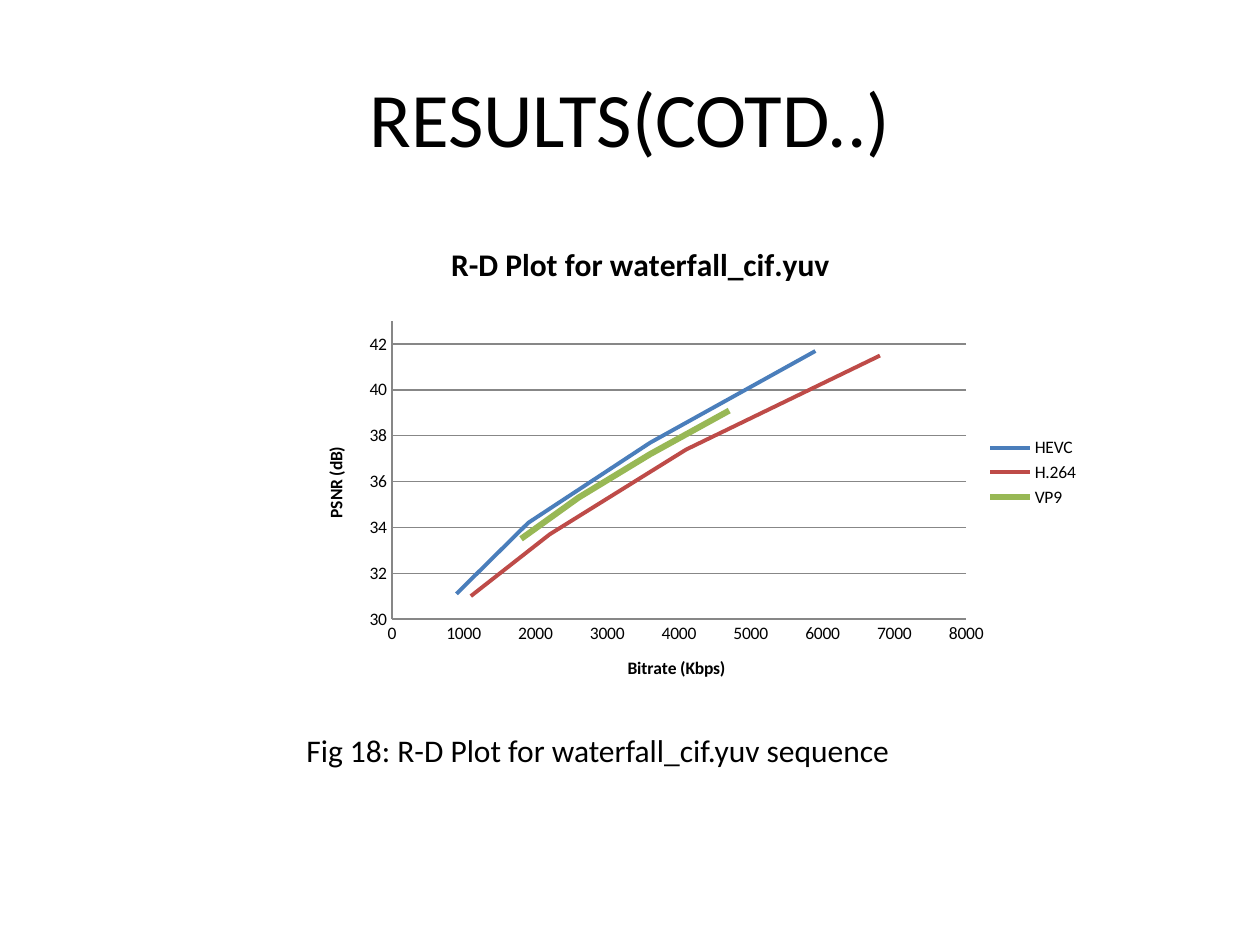
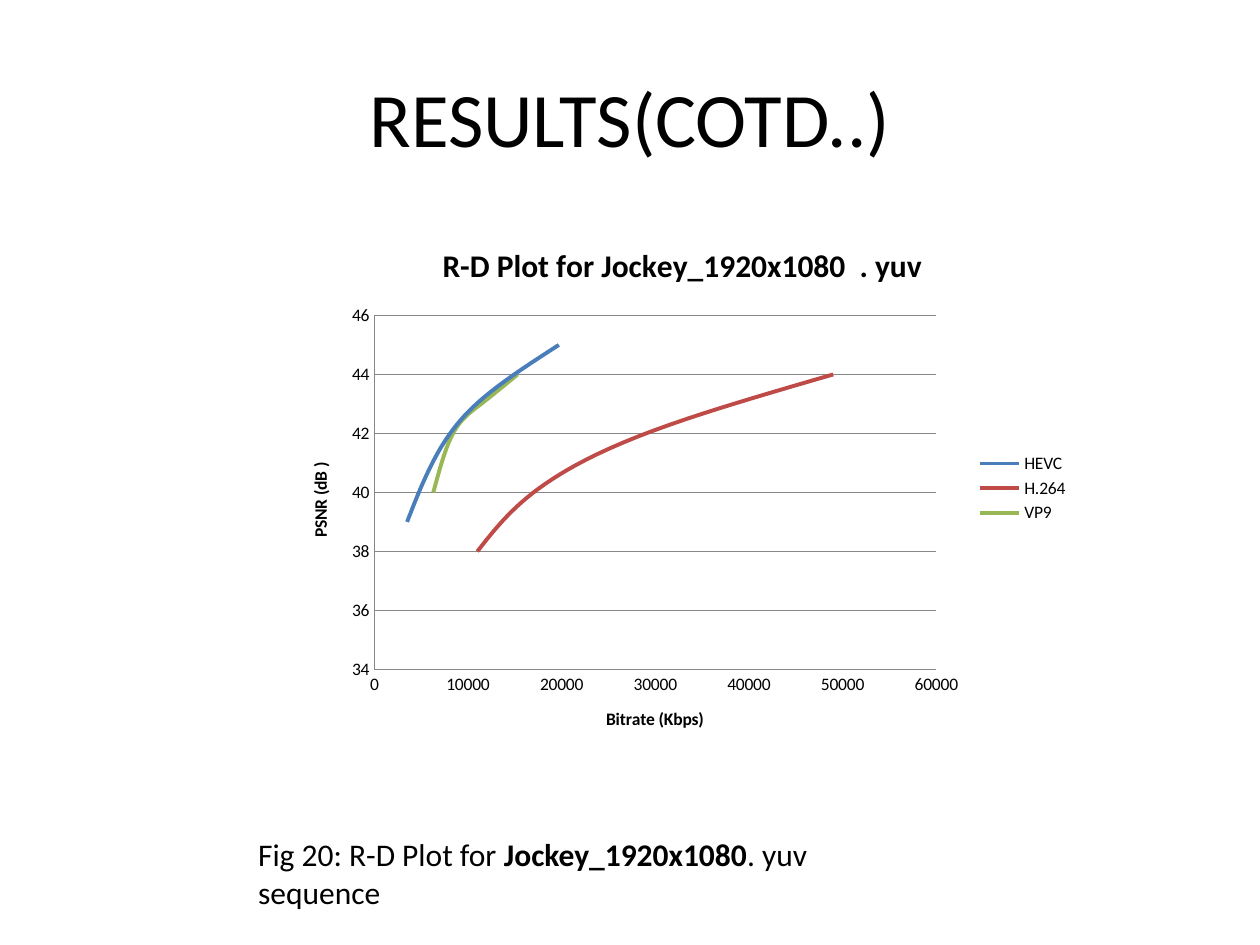
from pptx import Presentation
from pptx.chart.data import XyChartData
from pptx.dml.color import RGBColor
from pptx.enum.chart import XL_CHART_TYPE, XL_LEGEND_POSITION, XL_TICK_MARK
from pptx.enum.text import MSO_ANCHOR, PP_ALIGN
from pptx.oxml import parse_xml
from pptx.oxml.ns import nsdecls
from pptx.util import Pt

COLORS = {
    "text": "000000",
    "grid": "878787",
    "HEVC": "4A7EBB",
    "H.264": "BE4B48",
    "VP9": "98B855",
}
FONT = "Calibri"
TITLE = "RESULTS(COTD..)"
BITRATE = "Bitrate (Kbps)"


class ResultsDeck:
    def __init__(self):
        self.deck = Presentation()
        self.deck.slide_width = Pt(720)
        self.deck.slide_height = Pt(540)
        self.page = None

    def add_page(self):
        self.page = self.deck.slides.add_slide(self.deck.slide_layouts[6])
        self.text((36, 21.6, 648, 90), [(TITLE, False)], 44, PP_ALIGN.CENTER, MSO_ANCHOR.MIDDLE)

    def style_font(self, font, size, bold=False):
        values = {"name": FONT, "size": Pt(size), "bold": bold}
        for name, value in values.items():
            setattr(font, name, value)
        font.color.rgb = RGBColor.from_string(COLORS["text"])

    def style_line(self, line, color, width):
        line.color.rgb = RGBColor.from_string(COLORS[color])
        line.width = Pt(width)

    def text(self, place, spans, size, align=PP_ALIGN.LEFT, anchor=MSO_ANCHOR.TOP, wrap=True):
        box = self.page.shapes.add_textbox(*map(Pt, place))
        frame = box.text_frame
        for name, value in {"word_wrap": wrap, "vertical_anchor": anchor}.items():
            setattr(frame, name, value)
        para = frame.paragraphs[0]
        para.alignment = align
        for words, bold in spans:
            span = para.add_run()
            span.text = words
            self.style_font(span.font, size, bold)

    def heading(self, frame, words, size):
        frame.text = words
        self.style_font(frame.paragraphs[0].runs[0].font, size, True)

    def axis(self, axis, title, limits, grid):
        low, high, step = limits
        values = {
            "minimum_scale": low,
            "maximum_scale": high,
            "major_unit": step,
            "has_major_gridlines": grid,
            "major_tick_mark": XL_TICK_MARK.NONE,
            "minor_tick_mark": XL_TICK_MARK.NONE,
        }
        for name, value in values.items():
            setattr(axis, name, value)
        self.style_font(axis.tick_labels.font, 10)
        self.style_line(axis.format.line, "grid", 0.75)
        if grid:
            self.style_line(axis.major_gridlines.format.line, "grid", 0.75)
        self.heading(axis.axis_title.text_frame, title, 10)

    def chart(self, place, title, psnr_title, curves, limits, smooth=False, widths=None, layout=None):
        data = XyChartData()
        for name, points in curves.items():
            series = data.add_series(name)
            for bitrate, psnr in points:
                series.add_data_point(bitrate, psnr)
        kind = (XL_CHART_TYPE.XY_SCATTER_SMOOTH_NO_MARKERS if smooth
                else XL_CHART_TYPE.XY_SCATTER_LINES_NO_MARKERS)
        chart = self.page.shapes.add_chart(kind, *map(Pt, place), data).chart
        self.style_font(chart.font, 10)
        chart.has_title = True
        chart.chart_title.include_in_layout = False
        self.heading(chart.chart_title.text_frame, title, 18)

        bitrate_limits, psnr_limits = limits
        self.axis(chart.category_axis, BITRATE, bitrate_limits, False)
        self.axis(chart.value_axis, psnr_title, psnr_limits, True)
        for body in chart.value_axis.axis_title.element.xpath(".//a:bodyPr"):
            body.set("rot", "-5400000")
            body.set("vert", "horz")

        chart.has_legend = True
        chart.legend.position = XL_LEGEND_POSITION.RIGHT
        chart.legend.include_in_layout = False
        self.style_font(chart.legend.font, 10)

        plot = chart.plots[0]
        plot.vary_by_categories = False
        for series in plot.series:
            self.style_line(series.format.line, series.name, (widths or {}).get(series.name, 2.25))
        for flag in chart.element.xpath(".//c:ser/c:smooth"):
            flag.set("val", str(int(smooth)))
        if layout:
            self.plot_layout(chart, layout)

    def plot_layout(self, chart, layout):
        area = chart.element.xpath(".//c:plotArea")[0]
        for old in area.xpath("./c:layout"):
            area.remove(old)
        modes = "".join(f'<c:{side}Mode val="edge"/>' for side in "xy")
        sizes = "".join(f'<c:{side} val="{value}"/>' for side, value in zip("xywh", layout))
        area.insert(0, parse_xml(
            f'<c:layout {nsdecls("c")}><c:manualLayout>{modes}{sizes}</c:manualLayout></c:layout>'))


def main():
    results = ResultsDeck()

    results.add_page()
    waterfall = {
        "HEVC": [(5900, 41.7), (3600, 37.7), (1900, 34.2), (900, 31.1)],
        "H.264": [(6800, 41.5), (4100, 37.4), (2200, 33.7), (1100, 31)],
        "VP9": [(4700, 39.1), (3600, 37.2), (2600, 35.3), (1800, 33.5)],
    }
    results.chart((108, 126, 516, 288), "R-D Plot for waterfall_cif.yuv", "PSNR (dB)", waterfall,
                  ((0, 8000, 1000), (30, 43, 2)), widths={"VP9": 3.5},
                  layout=(0.2, 0.2, 0.68, 0.64))
    results.text((168, 414, 466, 72),
                 [("Fig 18: R-D Plot for waterfall_cif.yuv sequence", False)], 18)

    results.add_page()
    jockey = {
        "HEVC": [(19700, 45), (10900, 43), (6200, 41), (3500, 39)],
        "H.264": [(49000, 44), (29000, 42), (17000, 40), (11000, 38)],
        "VP9": [(15300, 44), (11400, 43), (8400, 42), (6300, 40)],
    }
    results.chart((162, 126, 456, 306), "R-D Plot for Jockey_1920x1080  . yuv", "PSNR (dB )", jockey,
                  ((0, 60000, 10000), (34, 46, 2)), smooth=True)
    results.text((140.4, 473.8, 401.8, 50.4),
                 [("Fig 20: R-D Plot for ", False), ("Jockey_1920x1080", True),
                  (". yuv sequence", False)], 18, wrap=False)

    results.deck.save("out.pptx")


if __name__ == "__main__":
    main()
